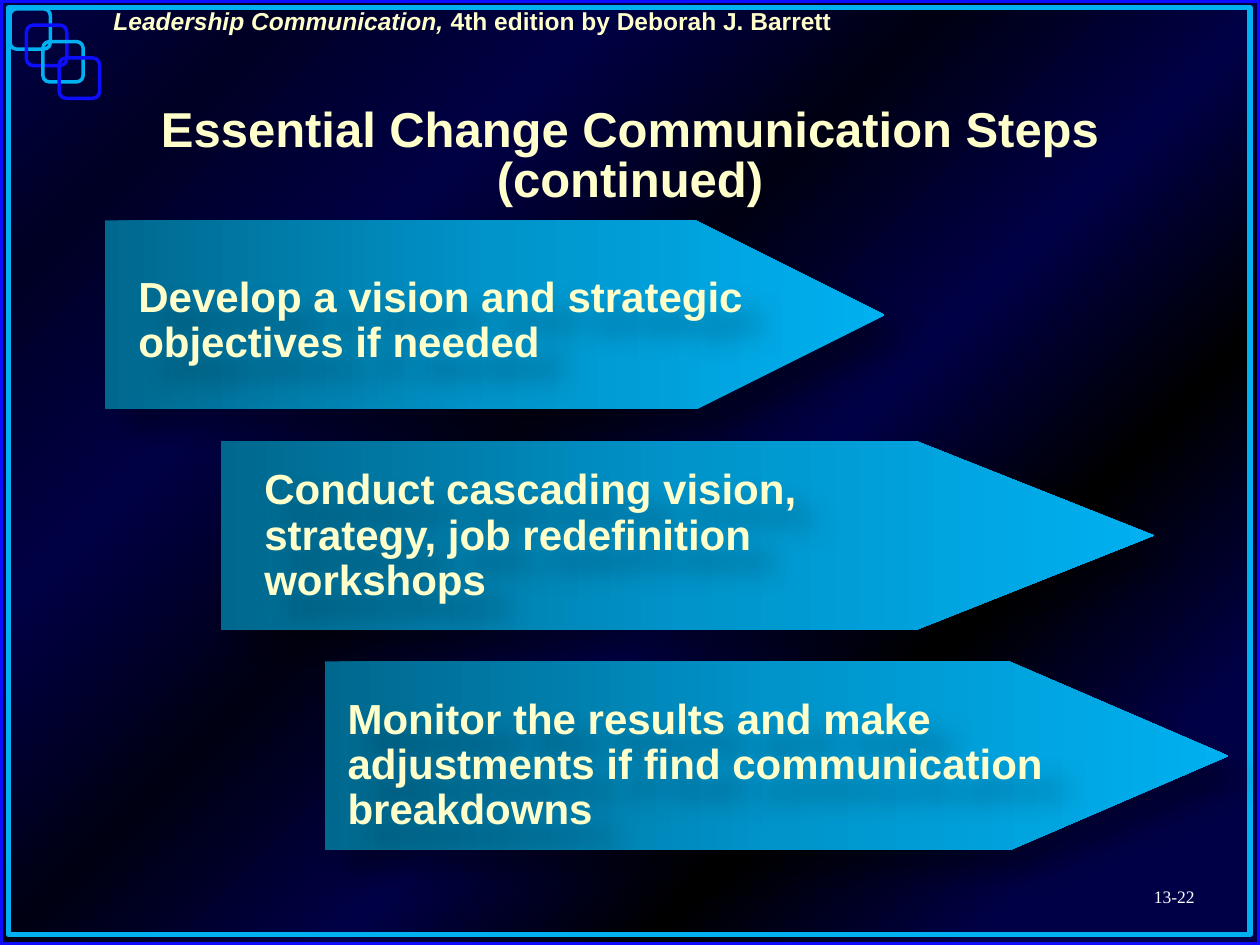
"""Build a slide with three staggered arrow-shaped steps of change communication."""
import pptx
import pptx.dml.color
import pptx.enum.shapes
import pptx.enum.text
import pptx.oxml
import pptx.oxml.ns
import pptx.util

Inches = pptx.util.Inches
Pt = pptx.util.Pt
RGBColor = pptx.dml.color.RGBColor
MSO_SHAPE = pptx.enum.shapes.MSO_SHAPE
PP_ALIGN = pptx.enum.text.PP_ALIGN
MSO_ANCHOR = pptx.enum.text.MSO_ANCHOR
qn = pptx.oxml.ns.qn
NAMESPACE = pptx.oxml.ns.nsdecls("a")

CREAM = RGBColor(0xFF, 0xFF, 0xCC)
WHITE = RGBColor(0xFF, 0xFF, 0xFF)
SKY = RGBColor(0x00, 0xB0, 0xF0)
BLUE = RGBColor(0x0D, 0x0D, 0xFF)
TEAL = RGBColor(0x00, 0x68, 0x8E)
AZURE = RGBColor(0x00, 0x94, 0xCA)
NAVY = RGBColor(0x00, 0x00, 0x46)
NAVY_SOFT = RGBColor(0x00, 0x00, 0x45)
NAVY_DARK = RGBColor(0x00, 0x00, 0x25)
NAVY_DEEP = RGBColor(0x00, 0x00, 0x13)
BLACK = RGBColor(0x00, 0x00, 0x00)

BACKGROUND_STOPS = [(0, NAVY), (13, NAVY_DARK), (28, NAVY_SOFT), (43, NAVY_DEEP),
                    (58, NAVY), (72, BLACK), (87, NAVY), (100, NAVY)]
ARROW_STOPS = [(0, TEAL), (50, AZURE), (100, SKY)]
CORNER_DIRECTION = '<a:path path="circle"><a:fillToRect r="100000" b="100000"/></a:path>'
ACROSS_DIRECTION = '<a:lin ang="0" scaled="0"/>'
SHADOW = (f'<a:outerShdw {NAMESPACE} blurRad="{Pt(15)}" dist="{Pt(18)}" dir="2700000" '
          f'algn="tl" rotWithShape="0"><a:srgbClr val="{BLACK}"><a:alpha val="30000"/>'
          '</a:srgbClr></a:outerShdw>')


def add_text(shapes, text, box, size=24, color=CREAM, font="Arial", bold=True,
             italic_lead="", align=PP_ALIGN.LEFT, anchor=MSO_ANCHOR.TOP,
             spacing=1.0, before=0, inset_right=0.1, inset_top=0.05, wrap=True):
    text_box = shapes.add_textbox(*[Inches(length) for length in box])
    frame = text_box.text_frame
    frame.word_wrap = wrap
    frame.vertical_anchor = anchor
    frame.margin_left, frame.margin_right = Inches(0.1 if inset_top else 0), Inches(inset_right)
    frame.margin_top = frame.margin_bottom = Inches(inset_top)
    paragraph = frame.paragraphs[0]
    paragraph.alignment = align
    paragraph.line_spacing = spacing
    paragraph.space_before = Pt(before)
    for part, italic in ((italic_lead, True), (text, False)):
        if part:
            run = paragraph.add_run()
            run.text = part
            run.font.name = font
            run.font.size = Pt(size)
            run.font.bold = bold
            run.font.italic = italic
            run.font.color.rgb = color
    return text_box


def set_gradient(fill, element, stops, direction):
    fill.gradient()
    old_gradient = next(element.iter(qn("a:gradFill")))
    stop_xml = "".join(f'<a:gs pos="{position * 1000}"><a:srgbClr val="{color}"/></a:gs>'
                       for position, color in stops)
    old_gradient.getparent().replace(old_gradient, pptx.oxml.parse_xml(
        f'<a:gradFill {NAMESPACE} rotWithShape="1"><a:gsLst>{stop_xml}</a:gsLst>'
        f'{direction}</a:gradFill>'))


presentation = pptx.Presentation()
presentation.slide_width = Inches(10)
presentation.slide_height = Inches(7.5)
slide = presentation.slides.add_slide(presentation.slide_layouts[6])
set_gradient(slide.background.fill, slide.element, BACKGROUND_STOPS, CORNER_DIRECTION)

add_text(slide.shapes, "4th edition by Deborah J. Barrett", (0.77, 0.1, 6.08, 0.28),
         italic_lead="Leadership Communication, ", size=14, align=PP_ALIGN.CENTER,
         spacing=0.75, inset_right=0.12, inset_top=0, wrap=False)

frame_group = slide.shapes.add_group_shape()
outlines = [(frame_group.shapes, MSO_SHAPE.RECTANGLE, (0.07, 0.06, 9.85, 7.36), SKY, 3)]
for index, color in enumerate((SKY, BLUE, SKY, BLUE)):
    outlines.append((frame_group.shapes, MSO_SHAPE.ROUNDED_RECTANGLE,
                     (0.08 + 0.13 * index, 0.07 + 0.13 * index, 0.32, 0.32), color, 2))
outlines.append((slide.shapes, MSO_SHAPE.RECTANGLE, (0, 0, 10, 7.5), BLUE, 3))
for shapes, kind, box, color, width in outlines:
    outline = shapes.add_shape(kind, *[Inches(length) for length in box])
    outline.shadow.inherit = False
    outline.fill.background()
    outline.line.color.rgb = color
    outline.line.width = Pt(width)

add_text(slide.shapes, "Essential Change Communication Steps (continued)", (1, 0.75, 8, 1),
         size=28, align=PP_ALIGN.CENTER, anchor=MSO_ANCHOR.MIDDLE, spacing=0.85)

steps = [
    ("Develop a vision and strategic objectives if needed",
     0.83, 6.19, 1, (1, 2.14, 5.43, 0.79)),
    ("Conduct cascading vision, strategy, job redefinition workshops",
     1.75, 7.41, 1.26, (2, 3.67, 5.86, 0.9)),
    ("Monitor the results and make adjustments if find communication breakdowns",
     2.58, 7.17, 1.16, (2.66, 5.49, 6.45, 1.18)),
]
for index, (text, left, width, point, text_area) in enumerate(steps):
    step_group = slide.shapes.add_group_shape()
    arrow = step_group.shapes.add_shape(MSO_SHAPE.PENTAGON, Inches(left),
                                        Inches(1.75 * (index + 1)), Inches(width), Inches(1.5))
    arrow.adjustments[0] = point
    set_gradient(arrow.fill, arrow.element, ARROW_STOPS, ACROSS_DIRECTION)
    arrow.line.fill.background()
    label = add_text(step_group.shapes, text, text_area, spacing=0.9, before=4.8)
    for shape in (arrow, label):
        shape.shadow.inherit = False
        effects = next(shape.element.iter(qn("a:effectLst")))
        effects.append(pptx.oxml.parse_xml(SHADOW))

add_text(slide.shapes, "13-22", (7.25, 6.75, 2.33, 0.5), size=10, color=WHITE,
         font="Times New Roman", bold=False, align=PP_ALIGN.RIGHT, anchor=MSO_ANCHOR.BOTTOM)

presentation.save("out.pptx")
